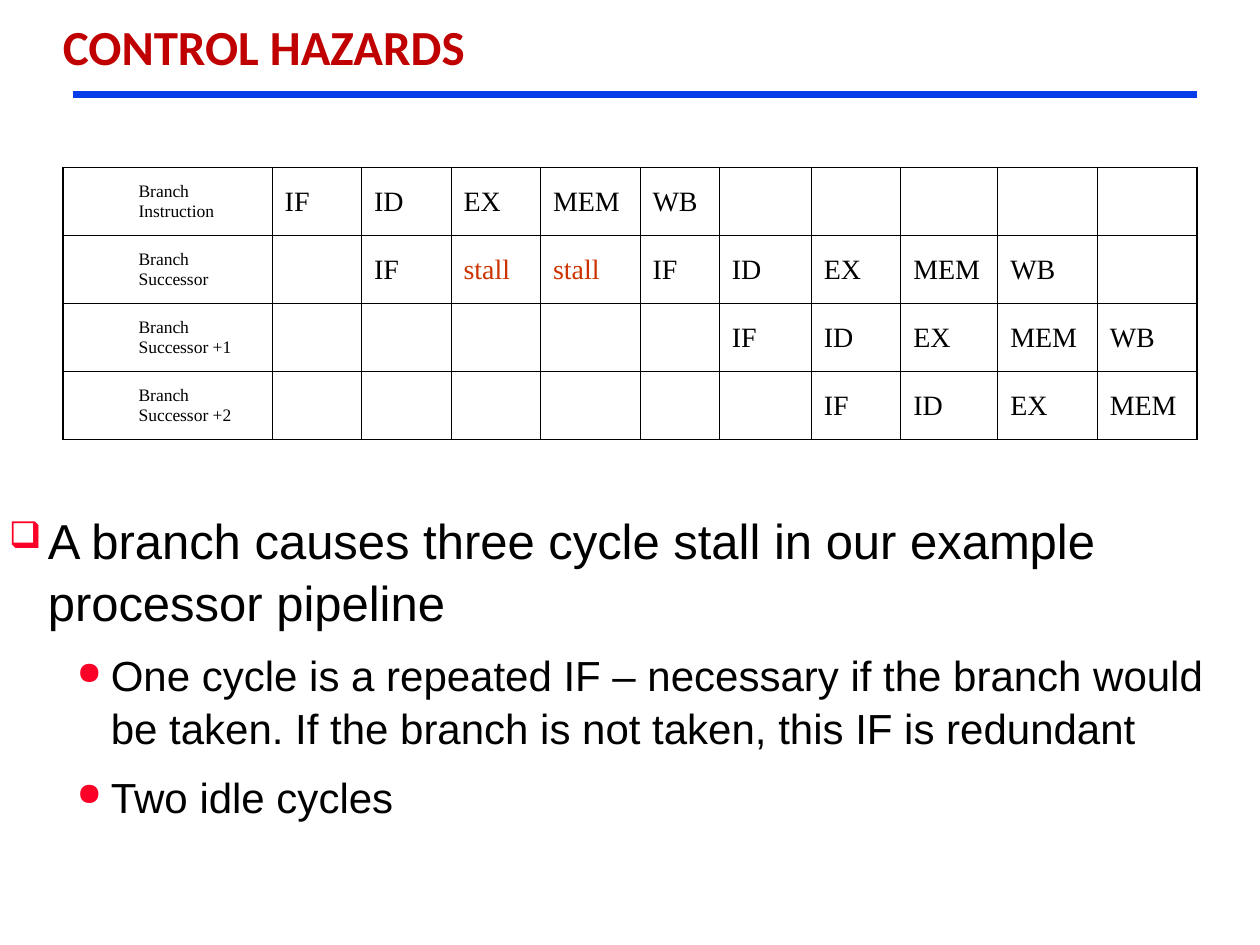
from lxml.etree import SubElement
from pptx import Presentation
from pptx.dml.color import RGBColor
from pptx.enum.shapes import MSO_CONNECTOR
from pptx.enum.text import MSO_ANCHOR
from pptx.oxml.ns import qn
from pptx.util import Inches, Pt

BLACK = RGBColor(0x00, 0x00, 0x00)
TITLE_RED = RGBColor(0xC0, 0x00, 0x00)
RULE_BLUE = RGBColor(0x06, 0x3D, 0xE8)
BULLET_RED = RGBColor(0xFC, 0x01, 0x28)
STALL_RED = RGBColor(0xCC, 0x33, 0x00)

COLUMN_WIDTHS = [1.66, 0.71, 0.71, 0.71, 0.79, 0.63, 0.73, 0.71, 0.77, 0.79, 0.79]
ROW_HEIGHT = 0.54
OUTER_BORDER, INNER_BORDER = 1.08, 0.45

# Instruction, first cycle, and what happens in each cycle from there on
PIPELINE = [
    ("Branch Instruction", 1, ["IF", "ID", "EX", "MEM", "WB"]),
    ("Branch Successor", 2, ["IF", "stall", "stall", "IF", "ID", "EX", "MEM", "WB"]),
    ("Branch Successor +1", 6, ["IF", "ID", "EX", "MEM", "WB"]),
    ("Branch Successor +2", 7, ["IF", "ID", "EX", "MEM"]),
]

# Text and outline level
POINTS = [
    ("A branch causes three cycle stall in our example processor pipeline", 0),
    ("One cycle is a repeated IF – necessary if the branch would be taken. "
     "If the branch is not taken, this IF is redundant", 1),
    ("Two idle cycles", 1),
]
# Per level: bullet, left margin, hanging indent, text size, space before
LEVELS = [("❑", 0.31, 0.31, 28, 10.5), ("●", 0.81, 0.27, 24, 9)]


def style_font(paragraph, name, size, color, bold=False):
    font = paragraph.font
    font.name, font.size, font.bold = name, Pt(size), bold
    font.color.rgb = color


def add_text_frame(slide, left, top, width, height):
    frame = slide.shapes.add_textbox(
        Inches(left), Inches(top), Inches(width), Inches(height)).text_frame
    frame.word_wrap = True
    frame.margin_left = frame.margin_right = Inches(0.07)
    frame.margin_top = frame.margin_bottom = Inches(0.03)
    return frame


def add_rule(slide):
    rule = slide.shapes.add_connector(
        MSO_CONNECTOR.STRAIGHT, Inches(0.58), Inches(0.75), Inches(9.5), Inches(0.75))
    rule.line.color.rgb = RULE_BLUE
    rule.line.width = Pt(4.5)
    SubElement(rule._element.spPr, qn("a:effectLst"))


def add_title(slide):
    frame = add_text_frame(slide, 0, 0.08, 9, 0.67)
    frame.margin_left = Inches(0.5)
    title = frame.paragraphs[0]
    title.text = "CONTROL HAZARDS"
    title.line_spacing = 1.05
    style_font(title, "Calibri", 28, TITLE_RED, bold=True)


def set_bullet(paragraph, bullet, margin, hanging):
    properties = paragraph._p.get_or_add_pPr()
    properties.set("marL", str(Inches(margin)))
    properties.set("indent", str(-Inches(hanging)))
    color = SubElement(properties, qn("a:buClr"))
    SubElement(color, qn("a:srgbClr"), val=str(BULLET_RED))
    SubElement(properties, qn("a:buSzPct"), val="75000")
    SubElement(properties, qn("a:buChar"), char=bullet)


def add_points(slide):
    frame = add_text_frame(slide, 0, 4, 10, 2.5)
    for index, (text, level) in enumerate(POINTS):
        point = frame.add_paragraph() if index else frame.paragraphs[0]
        bullet, margin, hanging, size, space_before = LEVELS[level]
        point.text = text
        point.level = level
        point.line_spacing = 1.05
        point.space_before = Pt(space_before)
        set_bullet(point, bullet, margin, hanging)
        style_font(point, "Arial", size, BLACK)


def set_borders(cell, outer_sides):
    properties = cell._tc.get_or_add_tcPr()
    for side in "LRTB":
        width = OUTER_BORDER if side in outer_sides else INNER_BORDER
        border = SubElement(properties, qn(f"a:ln{side}"), w=str(Pt(width)))
        fill = SubElement(border, qn("a:solidFill"))
        SubElement(fill, qn("a:srgbClr"), val=str(BLACK))


def fill_cell(cell, text, is_label):
    cell.vertical_anchor = MSO_ANCHOR.MIDDLE
    paragraph = cell.text_frame.paragraphs[0]
    paragraph.text = text
    paragraph.space_before = Pt(2.5 if is_label else 4)
    if is_label:
        paragraph.level = 1
        paragraph._p.get_or_add_pPr().set("marL", str(Inches(0.5)))
    color = STALL_RED if text == "stall" else BLACK
    style_font(paragraph, "Times New Roman", 10 if is_label else 16, color)


def add_pipeline_table(slide):
    row_count, column_count = len(PIPELINE), len(COLUMN_WIDTHS)
    table = slide.shapes.add_table(
        row_count, column_count, Inches(0.5), Inches(1.33),
        Inches(sum(COLUMN_WIDTHS)), Inches(ROW_HEIGHT * row_count)).table
    table.first_row = table.horz_banding = False
    for column, width in zip(table.columns, COLUMN_WIDTHS):
        column.width = Inches(width)

    for row, (instruction, start, stages) in enumerate(PIPELINE):
        table.rows[row].height = Inches(ROW_HEIGHT)
        texts = [instruction] + [""] * (start - 1) + stages
        texts += [""] * (column_count - len(texts))
        for column, text in enumerate(texts):
            cell = table.cell(row, column)
            edges = {"L": column == 0, "R": column == column_count - 1,
                     "T": row == 0, "B": row == row_count - 1}
            set_borders(cell, [side for side, outer in edges.items() if outer])
            cell.fill.background()
            fill_cell(cell, text, is_label=column == 0)


def main():
    presentation = Presentation()
    presentation.slide_width = Inches(10)
    presentation.slide_height = Inches(7.5)
    slide = presentation.slides.add_slide(presentation.slide_layouts[6])
    add_rule(slide)
    add_title(slide)
    add_points(slide)
    add_pipeline_table(slide)
    presentation.save("out.pptx")


if __name__ == "__main__":
    main()
